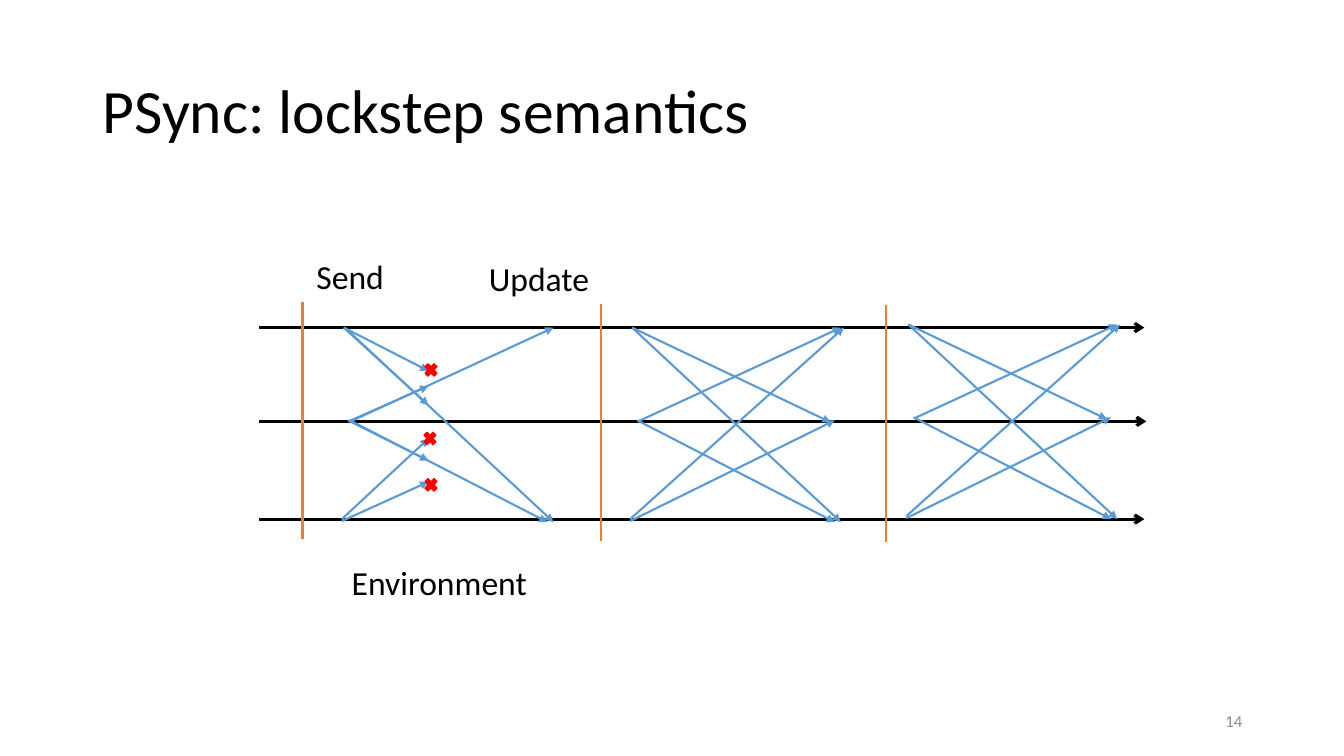
"""Build the PSync lockstep semantics slide: three processes over three rounds."""
from lxml import etree
from pptx import Presentation
from pptx.dml.color import RGBColor
from pptx.enum.shapes import MSO_CONNECTOR, MSO_SHAPE
from pptx.enum.text import MSO_ANCHOR, PP_ALIGN
from pptx.oxml.ns import qn
from pptx.util import Inches, Pt

BLACK = RGBColor(0x00, 0x00, 0x00)
GRAY = RGBColor(0x8C, 0x8C, 0x8C)
ORANGE = RGBColor(0xED, 0x7D, 0x31)
BLUE = RGBColor(0x5B, 0x9B, 0xD5)
RED = RGBColor(0xFF, 0x00, 0x00)

prs = Presentation()
prs.slide_width = Inches(13.33)
prs.slide_height = Inches(7.5)
slide = prs.slides.add_slide(prs.slide_layouts[6])


def add_label(text, left, top, width, height, size, color=BLACK, wrap=False):
    frame = slide.shapes.add_textbox(
        Inches(left), Inches(top), Inches(width), Inches(height)).text_frame
    frame.text = text
    frame.word_wrap = wrap
    font = frame.paragraphs[0].runs[0].font
    font.name = "Calibri"
    font.size = Pt(size)
    font.color.rgb = color
    return frame


def add_line(x1, y1, x2, y2, color, width=1.5, head=None):
    connector = slide.shapes.add_connector(
        MSO_CONNECTOR.STRAIGHT, Inches(x1), Inches(y1), Inches(x2), Inches(y2))
    connector.line.color.rgb = color
    connector.line.width = Pt(width)
    if head:
        etree.SubElement(connector.line._get_or_add_ln(), qn("a:tailEnd"), type=head)
    etree.SubElement(connector._element.spPr, qn("a:effectLst"))


title = add_label("PSync: lockstep semantics", 0.92, 0.4, 11.5, 1.45, 44, wrap=True)
title.vertical_anchor = MSO_ANCHOR.MIDDLE
title.paragraphs[0].line_spacing = 0.9

page_number = add_label("14", 9.42, 6.95, 3, 0.4, 12, GRAY, wrap=True)
page_number.vertical_anchor = MSO_ANCHOR.MIDDLE
page_number.paragraphs[0].alignment = PP_ALIGN.RIGHT

for process_y, process_end in [(3.25, 11.35), (4.18, 11.37), (5.15, 11.35)]:
    add_line(2.57, process_y, process_end, process_y, BLACK, 2.25, "arrow")

for round_x, round_top in [(3, 3), (5.96, 3.02), (8.79, 3.03)]:
    add_line(round_x, round_top, round_x, round_top + 2.35, ORANGE)

delivered = [
    (6.27, 3.25, 8.34, 5.18),
    (6.33, 4.18, 8.34, 3.25),
    (6.32, 4.17, 8.28, 5.18),
]
lost_in_first_round = [
    (6.27, 3.25, 8.24, 4.19),
    (6.25, 5.15, 8.37, 3.25),
    (6.25, 5.17, 8.28, 4.17),
]
all_messages = delivered + lost_in_first_round
rounds = [(-2.85, 0, delivered), (0, 0, all_messages), (2.74, -0.03, all_messages)]
for dx, dy, messages in rounds:
    for x1, y1, x2, y2 in messages:
        add_line(x1 + dx, y1 + dy, x2 + dx, y2 + dy, BLUE, head="triangle")

first_round_sends = [
    (3.41, 3.25, 3.68),
    (3.41, 3.25, 4.02),
    (3.46, 4.18, 3.83),
    (3.39, 5.15, 4.35),
    (3.39, 5.17, 4.78),
    (3.45, 4.17, 4.57),
]
for send_x, send_y, reach_y in first_round_sends:
    add_line(send_x, send_y, 4.25, reach_y, BLUE, head="triangle")

for loss_x, loss_y in [(4.19, 3.58), (4.18, 4.26), (4.19, 4.72)]:
    loss = slide.shapes.add_shape(
        MSO_SHAPE.MATH_MULTIPLY, Inches(loss_x), Inches(loss_y), Inches(0.17), Inches(0.18))
    loss.shadow.inherit = False
    loss.fill.solid()
    loss.fill.fore_color.rgb = RED
    loss.line.color.rgb = RED
    loss.line.width = Pt(1)

add_label("Send", 3.04, 2.49, 0.88, 0.5, 24)
add_label("Update", 4.75, 2.51, 1.21, 0.5, 24)
add_label("Environment", 3.39, 5.53, 2.03, 0.5, 24)

prs.save("out.pptx")
